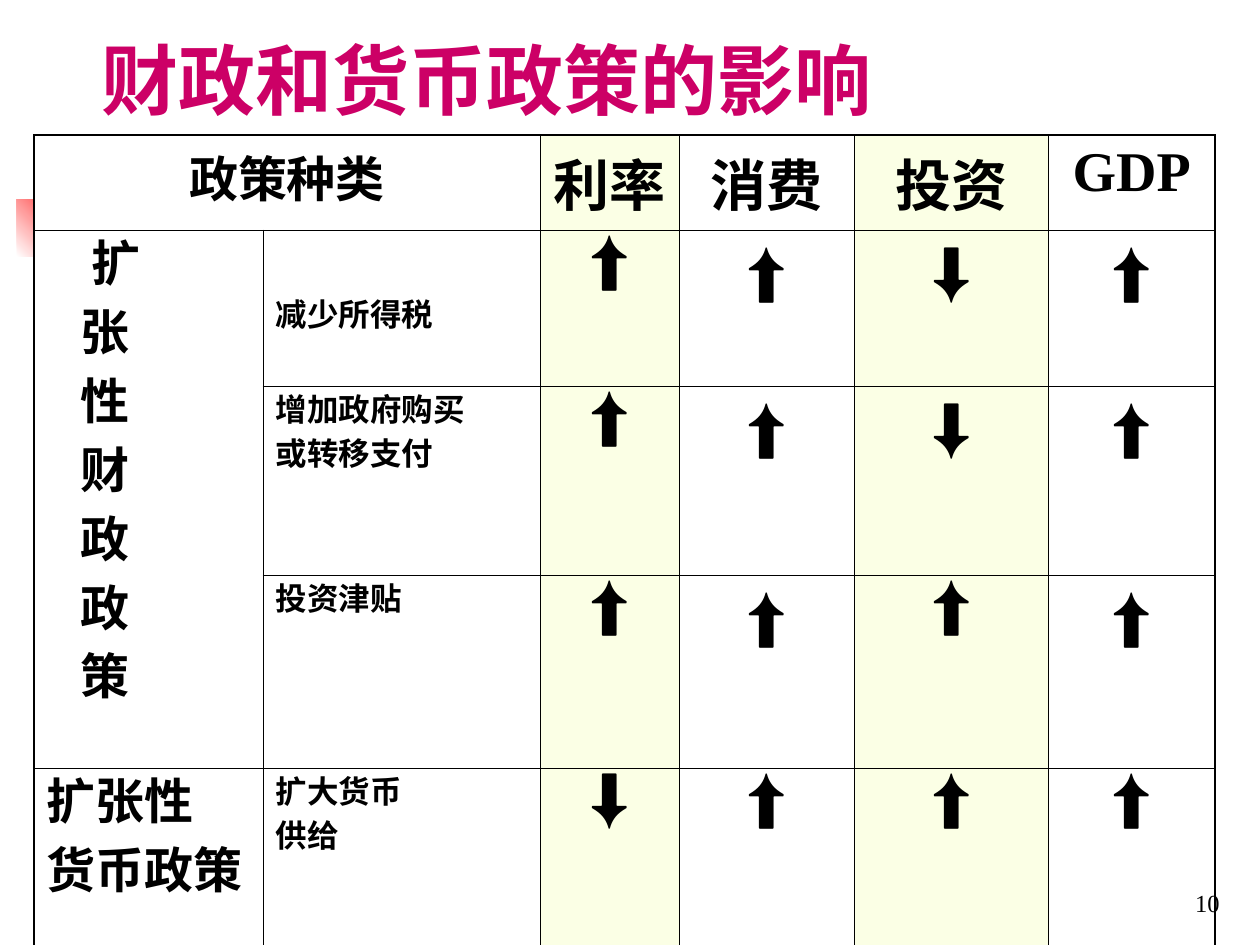
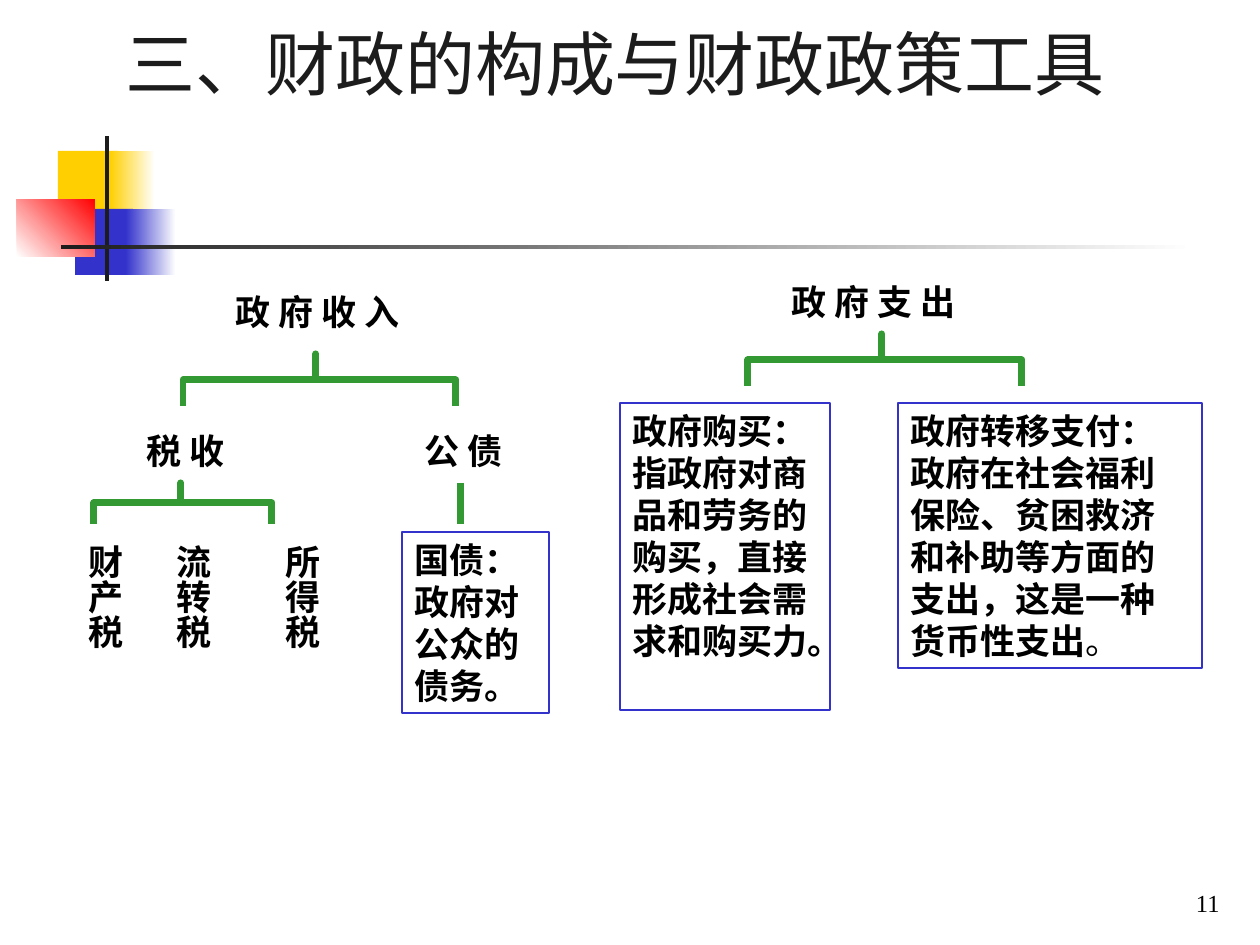
from lxml import etree
from pptx import Presentation
from pptx import util as u
from pptx.dml.color import RGBColor
from pptx.enum import shapes, text
from pptx.oxml.ns import qn

PX = 914400 // 126
COLOURS = {
    "ink": "000000", "dark": "1C1C1C", "white": "FFFFFF", "cream": "FBFFE5",
    "pink": "CC0066", "yellow": "FFCF01", "blue": "3333CC", "red": "FF0000",
    "green": "339933",
}
SERIF, SANS = "Times New Roman", "Arial"
ALIGN, ANCHOR = text.PP_ALIGN, text.MSO_ANCHOR

# Shared decoration: box, colour(s), gradient angle
DECORATION = [
    ((58, 151, 60, 66), ["yellow"], 0),
    ((110, 151, 45, 66), ["yellow", "white"], 0),
    ((75, 209, 58, 66), ["blue"], 0),
    ((126, 209, 50, 66), ["blue", "white"], 0),
    ((17, 199, 78, 58), ["white", "red"], 45),
    ((105, 136, 4, 145), ["dark"], 0),
    ((61, 245, 1134, 4), ["dark", "white"], 0),
]
PAGE_NUMBER_BOX = (970, 861, 262, 63)

# Policy table
POLICY_TITLE = "财政和货币政策的影响"
TABLE_ORIGIN = (34, 135)
COLUMN_WIDTHS = [229, 277, 139, 175, 195, 166]
ROW_HEIGHTS = [95, 156, 189, 193, 178]
CREAM_COLUMNS = (2, 4)
EFFECT_HEADERS = ["利率", "消费", "投资", "GDP"]
FISCAL = list("扩张性财政政策")
MONETARY = ["扩张性", "货币政策"]
# Measure, effect arrows, columns whose arrow sits on a tight line
MEASURES = [
    (["减少所得税"], "⬆⬆⬇⬆", (0,)),
    (["增加政府购买", "或转移支付"], "⬆⬆⬇⬆", (0,)),
    (["投资津贴"], "⬆⬆⬆⬆", (0, 2)),
    (["扩大货币", "供给"], "⬇⬆⬆⬆", (0, 1, 2, 3)),
]
TIGHT = 0.8

# Budget tree
BUDGET_TITLE = "三、财政的构成与财政政策工具"
HEADINGS = [
    ("政 府 收 入", (223, 284, 210, 55)),
    ("政 府 支 出", (779, 274, 210, 55)),
    ("税 收", (134, 423, 147, 55)),
    ("公 债", (412, 423, 126, 55)),
]
TAXES = [("财产税", 66), ("流转税", 154), ("所得税", 263)]
# Text, closing mark in regular weight, box
DEFINITIONS = [
    ("政府购买：指政府对商品和劳务的购买，直接形成社会需求和购买力。", "",
     (620, 403, 210, 307)),
    ("政府转移支付：政府在社会福利保险、贫困救济和补助等方面的支出，这是一种货币性支出",
     "。", (898, 403, 304, 265)),
    ("国债：政府对公众的债务。", "", (402, 532, 147, 181)),
]
# Left, stem, right, top, beam, bottom
BRACKETS = [
    (748, 882, 1022, 334, 360, 386),
    (94, 181, 272, 483, 503, 524),
    (183, 316, 456, 354, 380, 406),
]
BOND_LINE = (461, 483, 461, 524)


def emu(lengths):
    return [u.Emu(length * PX) for length in lengths]


def colour(name):
    return RGBColor.from_string(COLOURS[name])


def write(frame, lines, size=20, font=SERIF, ink="ink", bold=True,
          align=ALIGN.LEFT, spacing=None, before=0, indents=None, plain_end=""):
    """Write one paragraph per line; indents are (left, first line) in px."""
    frame.word_wrap = True
    for index, line in enumerate(lines):
        paragraph = frame.paragraphs[0] if index == 0 else frame.add_paragraph()
        paragraph.alignment = align
        if spacing:
            paragraph.line_spacing = spacing
        if index:
            paragraph.space_before = u.Pt(before)
        if indents:
            left, first = indents
            properties = paragraph._p.get_or_add_pPr()
            properties.set("marL", str(left * PX))
            properties.set("indent", str(0 if index else first * PX))
        pieces = [(line, bold)] + ([(plain_end, False)] if plain_end else [])
        for words, weight in pieces:
            run = paragraph.add_run()
            run.text = words
            run.font.size = u.Pt(size)
            run.font.name = font
            run.font.bold = weight
            run.font.color.rgb = colour(ink)


def add_text(slide, box, words, fill=None, line=None, anchor=ANCHOR.TOP,
             vertical=False, **style):
    shape = slide.shapes.add_textbox(*emu(box))
    if fill:
        shape.fill.solid()
        shape.fill.fore_color.rgb = colour(fill)
    if line:
        shape.line.color.rgb = colour(line)
        shape.line.width = u.Pt(0.75)
    frame = shape.text_frame
    frame.vertical_anchor = anchor
    if vertical:
        frame._txBody.bodyPr.set("vert", "eaVert")
        frame.margin_left = frame.margin_right = u.Inches(0.05)
        frame.margin_top = frame.margin_bottom = u.Inches(0.1)
    write(frame, [words], **style)


def add_base(presentation, number):
    """Add a blank slide with the shared decoration and page number."""
    slide = presentation.slides.add_slide(presentation.slide_layouts[6])
    for box, names, angle in DECORATION:
        shape = slide.shapes.add_shape(shapes.MSO_SHAPE.RECTANGLE, *emu(box))
        shape.shadow.inherit = False
        shape.line.fill.background()
        if len(names) == 1:
            shape.fill.solid()
            shape.fill.fore_color.rgb = colour(names[0])
        else:
            shape.fill.gradient()
            shape.fill.gradient_angle = angle
            for stop, name, position in zip(shape.fill.gradient_stops, names, (0, 1)):
                stop.color.rgb = colour(name)
                stop.position = position
    return slide, lambda: add_text(
        slide, PAGE_NUMBER_BOX, str(number), size=14, bold=False,
        align=ALIGN.RIGHT, anchor=ANCHOR.BOTTOM)


def style_cell(cell, row, column):
    """Rule the cell, heavier on the table's outer edge, and fill it."""
    outer = {"L": column == 0, "R": column == len(COLUMN_WIDTHS) - 1,
             "T": row == 0, "B": row == len(ROW_HEIGHTS) - 1}
    properties = cell._tc.get_or_add_tcPr()
    for side, heavy in outer.items():
        width = u.Pt(1.08 if heavy else 0.45)
        border = etree.SubElement(properties, qn(f"a:ln{side}"), w=str(int(width)))
        solid = etree.SubElement(border, qn("a:solidFill"))
        etree.SubElement(solid, qn("a:srgbClr"), val=COLOURS["ink"])
    cell.fill.solid()
    cell.fill.fore_color.rgb = colour("cream" if column in CREAM_COLUMNS else "white")


def add_policy_table(slide):
    size = (sum(COLUMN_WIDTHS), sum(ROW_HEIGHTS))
    frame = slide.shapes.add_table(
        len(ROW_HEIGHTS), len(COLUMN_WIDTHS), *emu(TABLE_ORIGIN + size))
    table = frame.table
    table.first_row = table.horz_banding = False
    for column, width in zip(table.columns, emu(COLUMN_WIDTHS)):
        column.width = width
    for row, height in zip(table.rows, emu(ROW_HEIGHTS)):
        row.height = height
    for row in range(len(ROW_HEIGHTS)):
        for column in range(len(COLUMN_WIDTHS)):
            style_cell(table.cell(row, column), row, column)
    table.cell(0, 0).merge(table.cell(0, 1))
    table.cell(1, 0).merge(table.cell(3, 0))

    def fill_in(row, column, lines, **style):
        write(table.cell(row, column).text_frame, lines, **style)

    # Header row and policy kinds
    fill_in(0, 0, ["政策种类"], size=28, align=ALIGN.CENTER)
    for column, header in enumerate(EFFECT_HEADERS, 2):
        fill_in(0, column, [header], size=32, align=ALIGN.CENTER)
    fill_in(1, 0, FISCAL, size=28, font="Noto Sans CJK SC", spacing=TIGHT,
            before=7, indents=(34, 11))
    fill_in(4, 0, MONETARY, size=28, spacing=TIGHT, before=7)

    # Measures and their effects
    for row, (lines, arrows, tight) in enumerate(MEASURES, 1):
        fill_in(row, 1, lines, size=18, spacing=TIGHT, before=4.5)
        for index, arrow in enumerate(arrows):
            fill_in(row, index + 2, [arrow], size=36, font=SANS, align=ALIGN.CENTER,
                    spacing=TIGHT if index in tight else None)
    table.cell(1, 1).margin_top = u.Emu(67 * PX)


def style_line(shape):
    shape.line.color.rgb = colour("green")
    shape.line.width = u.Pt(4)


def add_bracket(slide, left, stem, right, top, beam, bottom):
    builder = slide.shapes.build_freeform(right, bottom, scale=PX)
    builder.add_line_segments(
        [(right, beam), (stem, beam), (stem, top), (stem, beam),
         (left, beam), (left, bottom)], close=False)
    shape = builder.convert_to_shape()
    shape.shadow.inherit = False
    shape.fill.background()
    style_line(shape)
    etree.SubElement(shape.line._get_or_add_ln(), qn("a:round"))


def build_policy_slide(presentation):
    slide, add_number = add_base(presentation, 10)
    add_text(slide, (89, -29, 1012, 160), POLICY_TITLE, fill="white", size=44,
             font="Cabin", ink="pink", anchor=ANCHOR.BOTTOM)
    add_policy_table(slide)
    add_number()


def build_budget_slide(presentation):
    slide, add_number = add_base(presentation, 11)
    add_number()
    add_text(slide, (44, 0, 1142, 125), BUDGET_TITLE, fill="white", size=40,
             ink="dark", bold=False, align=ALIGN.CENTER, anchor=ANCHOR.MIDDLE)
    for words, box in HEADINGS:
        add_text(slide, box, words, font=SANS)
    for words, left in TAXES:
        add_text(slide, (left, 532, 66, 179), words, font=SANS, vertical=True,
                 align=ALIGN.CENTER)
    for words, plain_end, box in DEFINITIONS:
        add_text(slide, box, words, line="blue", plain_end=plain_end)
    for bracket in BRACKETS:
        add_bracket(slide, *bracket)
    connector = slide.shapes.add_connector(
        shapes.MSO_CONNECTOR.STRAIGHT, *emu(BOND_LINE))
    style_line(connector)
    etree.SubElement(connector._element.spPr, qn("a:effectLst"))


def main():
    presentation = Presentation()
    presentation.slide_width, presentation.slide_height = u.Inches(10), u.Inches(7.5)
    build_policy_slide(presentation)
    build_budget_slide(presentation)
    presentation.save("out.pptx")


if __name__ == "__main__":
    main()
